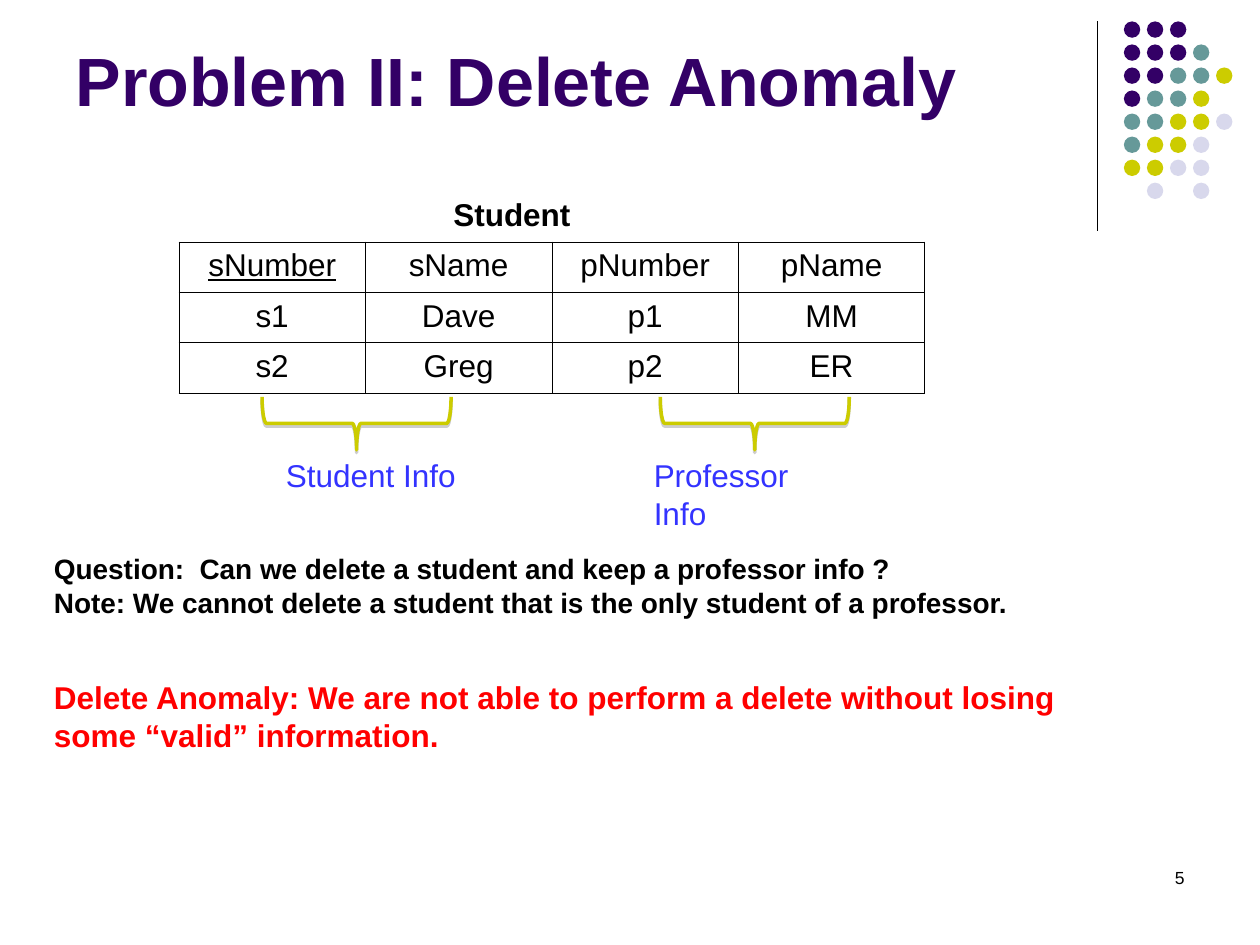
import dataclasses

import pptx
import pptx.dml.color
import pptx.enum.shapes
import pptx.enum.text
import pptx.oxml
import pptx.oxml.ns
import pptx.util

Inches = pptx.util.Inches
Pt = pptx.util.Pt
ALIGN = pptx.enum.text.PP_ALIGN
ANCHOR = pptx.enum.text.MSO_ANCHOR
SHAPE = pptx.enum.shapes.MSO_SHAPE
NAMESPACE = pptx.oxml.ns.nsdecls("a")


@dataclasses.dataclass(frozen=True)
class Theme:
    font: str = "Arial"
    purple: str = "330066"
    teal: str = "669999"
    olive: str = "CCCC00"
    lavender: str = "D8D8EC"
    black: str = "000000"
    red: str = "FF0000"
    blue: str = "3333FF"
    shadow: str = "808080"
    title_size: float = 39
    body_size: float = 18
    note_size: float = 16
    number_size: float = 10
    rule_width: float = 0.75
    border_width: float = 0.45
    brace_width: float = 2


def rgb(color):
    return pptx.dml.color.RGBColor.from_string(color)


class SlideBuilder:
    """Holds the theme and the slide that elements are added to."""

    def __init__(self, slide, theme):
        self.slide = slide
        self.theme = theme

    def fill_text(self, frame, lines, size, color, align=ALIGN.LEFT, **formats):
        """Fill a text frame, one paragraph a line; formats are font attributes."""
        values = {"name": self.theme.font, "size": Pt(size), "bold": False, **formats}
        for index, line in enumerate(lines):
            para = frame.add_paragraph() if index else frame.paragraphs[0]
            para.alignment = align
            span = para.add_run()
            span.text = line
            for name, value in values.items():
                setattr(span.font, name, value)
            span.font.color.rgb = rgb(color)

    def title(self, text, bounds):
        box = self.slide.shapes.title
        for name, value in zip(("left", "top", "width", "height"), bounds):
            setattr(box, name, Inches(value))
        box.text_frame.vertical_anchor = ANCHOR.BOTTOM
        self.fill_text(box.text_frame, [text], self.theme.title_size,
                       self.theme.purple, bold=True)

    def text(self, lines, bounds, size, color, wrap=True, **formats):
        box = self.slide.shapes.add_textbox(*map(Inches, bounds))
        box.text_frame.word_wrap = wrap
        self.fill_text(box.text_frame, lines, size, color, **formats)

    def rule(self, x, top, bottom):
        line = self.slide.shapes.add_connector(
            pptx.enum.shapes.MSO_CONNECTOR.STRAIGHT,
            Inches(x), Inches(top), Inches(x), Inches(bottom))
        line.line.color.rgb = rgb(self.theme.black)
        line.line.width = Pt(self.theme.rule_width)
        line._element.spPr.append(
            pptx.oxml.parse_xml(f"<a:effectLst {NAMESPACE}/>"))

    def dots(self, rows, left, top, pitch, size):
        """Draw a grid of dots; each letter picks a colour, a space is a gap."""
        theme = self.theme
        colors = {"P": theme.purple, "T": theme.teal,
                  "O": theme.olive, "L": theme.lavender}
        for row, letters in enumerate(rows):
            for column, letter in enumerate(letters):
                if letter == " ":
                    continue
                dot = self.slide.shapes.add_shape(
                    SHAPE.OVAL, Inches(left + column * pitch),
                    Inches(top + row * pitch), Inches(size), Inches(size))
                dot.shadow.inherit = False
                dot.fill.solid()
                dot.fill.fore_color.rgb = rgb(colors[letter])
                dot.line.fill.background()

    def border(self, cell):
        properties = cell._tc.get_or_add_tcPr()
        for side in "LRTB":
            properties.append(pptx.oxml.parse_xml(
                f'<a:ln{side} {NAMESPACE} w="{int(Pt(self.theme.border_width))}">'
                f'<a:solidFill><a:srgbClr val="{self.theme.black}"/></a:solidFill>'
                f'</a:ln{side}>'))

    def table(self, rows, bounds, key_column):
        """Draw a plain grid; the header of the key column is underlined."""
        table = self.slide.shapes.add_table(
            len(rows), len(rows[0]), *map(Inches, bounds)).table
        table.first_row = False
        table.horz_banding = False
        for row, values in enumerate(rows):
            for column, value in enumerate(values):
                cell = table.cell(row, column)
                self.border(cell)
                cell.fill.background()
                self.fill_text(cell.text_frame, [value], self.theme.body_size,
                               self.theme.black, ALIGN.CENTER,
                               underline=row == 0 and column == key_column)

    def brace(self, bounds):
        """Draw a brace turned to point down; bounds are those before the turn."""
        brace = self.slide.shapes.add_shape(SHAPE.RIGHT_BRACE, *map(Inches, bounds))
        brace.rotation = 90
        brace.fill.background()
        brace.line.color.rgb = rgb(self.theme.olive)
        brace.line.width = Pt(self.theme.brace_width)
        brace._element.spPr.append(pptx.oxml.parse_xml(
            f'<a:effectLst {NAMESPACE}>'
            f'<a:outerShdw blurRad="0" dist="{int(Pt(1.6))}" dir="5400000" rotWithShape="0">'
            f'<a:srgbClr val="{self.theme.shadow}"><a:alpha val="38000"/></a:srgbClr>'
            f'</a:outerShdw></a:effectLst>'))


def main():
    deck = pptx.Presentation()
    deck.slide_width, deck.slide_height = Inches(10), Inches(7.5)
    theme = Theme()
    page = SlideBuilder(deck.slides.add_slide(deck.slide_layouts[5]), theme)

    page.rule(8.71, 0.17, 1.83)
    dot_rows = ["PPP", "PPPT", "PPTTO", "PTTO", "TTOOL", "TOOL", "OOLL", " L L"]
    page.dots(dot_rows, left=8.92, top=0.17, pitch=1.28 / 7, size=0.13)
    page.title("Problem II: Delete Anomaly", (0.5, 0.13, 8.25, 0.87))

    page.text(["Student"], (3.5, 1.5, 1.13, 0.4), theme.body_size, theme.black,
              wrap=False, bold=True)
    students = [
        ["sNumber", "sName", "pNumber", "pName"],
        ["s1", "Dave", "p1", "MM"],
        ["s2", "Greg", "p2", "ER"],
    ]
    page.table(students, (1.42, 1.92, 5.92, 1.2), key_column=0)

    column_groups = [
        ("Student Info", 2.62, 2.17, 1.55),
        ("Professor Info", 5.78, 5.09, 1.75),
    ]
    for label, brace_left, label_left, label_width in column_groups:
        page.brace((brace_left, 2.61, 0.42, 1.5))
        page.text([label], (label_left, 3.57, label_width, 0.4),
                  theme.body_size, theme.blue, wrap=False)

    page.text(["Question:  Can we delete a student and keep a professor info ?",
               "Note: We cannot delete a student that is the only student of a professor."],
              (0.33, 4.33, 8.42, 0.64), theme.note_size, theme.black, bold=True)
    page.text(["Delete Anomaly: We are not able to perform a delete without losing "
               "some “valid” information."],
              (0.33, 5.33, 8.52, 0.7), theme.body_size, theme.red, bold=True)
    page.text(["5"], (7.17, 6.83, 2.33, 0.5), theme.number_size, theme.black,
              align=ALIGN.RIGHT)

    deck.save("out.pptx")


if __name__ == "__main__":
    main()
